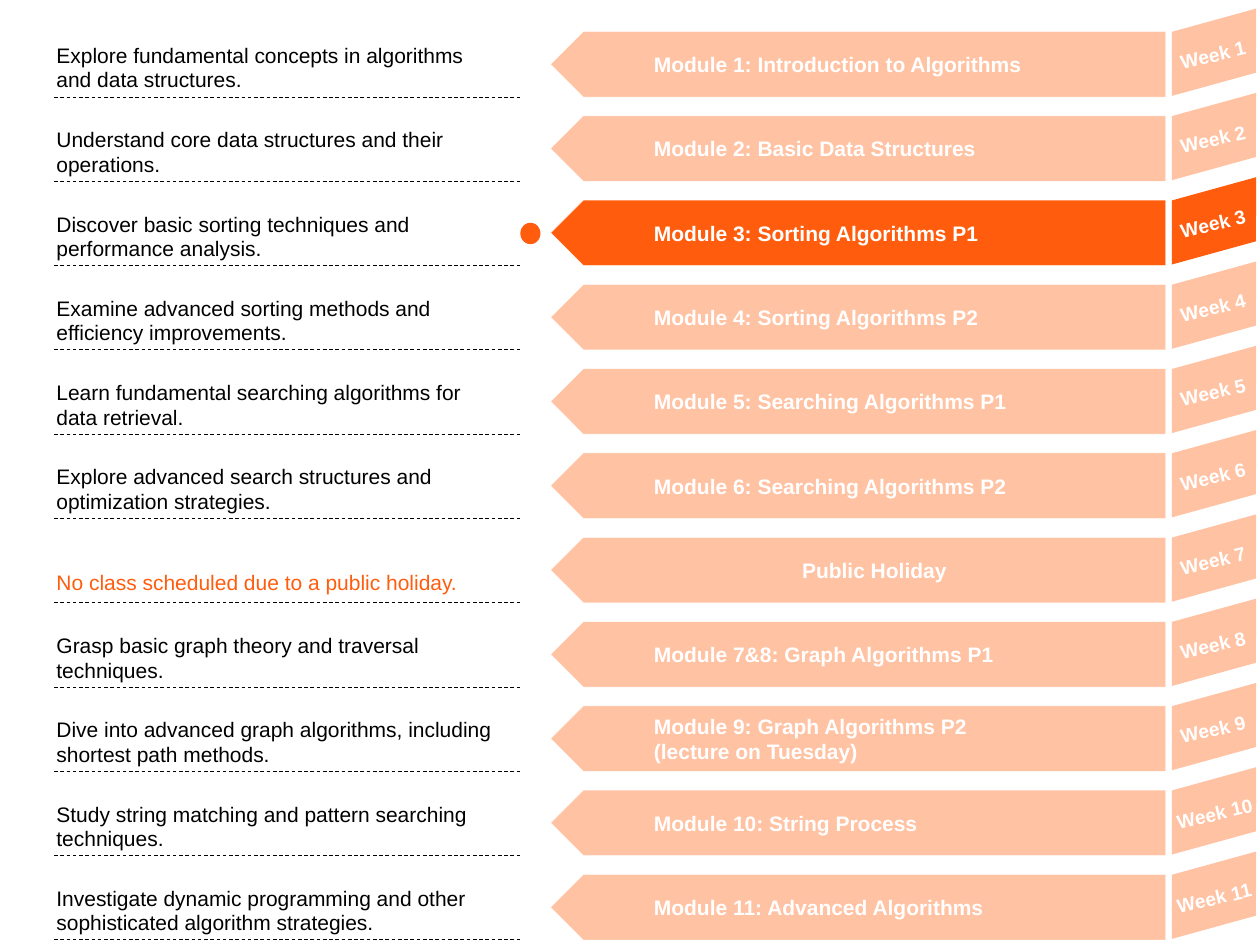
from lxml import etree
from pptx import Presentation
from pptx import util as u
from pptx.dml.color import RGBColor
from pptx.enum import dml, shapes, text
from pptx.oxml import ns

FIRST_ROW, LAST_ROW = 0.25, 6.94
CURRENT_WEEK = 3
HOLIDAY = "Public Holiday"
WEEKS = [
    ("Module 1: Introduction to Algorithms",
     "Explore fundamental concepts in algorithms and data structures."),
    ("Module 2: Basic Data Structures",
     "Understand core data structures and their operations."),
    ("Module 3: Sorting Algorithms P1",
     "Discover basic sorting techniques and performance analysis."),
    ("Module 4: Sorting Algorithms P2",
     "Examine advanced sorting methods and efficiency improvements."),
    ("Module 5: Searching Algorithms P1",
     "Learn fundamental searching algorithms for data retrieval."),
    ("Module 6: Searching Algorithms P2",
     "Explore advanced search structures and optimization strategies."),
    (HOLIDAY, "No class scheduled due to a public holiday."),
    ("Module 7&8: Graph Algorithms P1",
     "Grasp basic graph theory and traversal techniques."),
    ("Module 9: Graph Algorithms P2\n(lecture on Tuesday)",
     "Dive into advanced graph algorithms, including shortest path methods."),
    ("Module 10: String Process",
     "Study string matching and pattern searching techniques."),
    ("Module 11: Advanced Algorithms",
     "Investigate dynamic programming and other sophisticated algorithm strategies."),
]


def color(hex_code):
    return RGBColor.from_string(hex_code)


class Timetable:
    font = "Arial"
    ink, paper = "000000", "FFFFFF"
    accent, tint = "FF5D0D", "FFC2A3"

    def __init__(self, page):
        self.page = page

    def set_words(self, box, words, size, hex_code, bold=False,
                  align=text.PP_ALIGN.LEFT):
        box.text_frame.text = words
        for para in box.text_frame.paragraphs:
            para.alignment = align
            for span in para.runs:
                span.font.name = self.font
                span.font.size = u.Pt(size)
                span.font.bold = bold
                span.font.color.rgb = color(hex_code)

    def shape(self, kind, left, top, width, height, fill, adjustments=()):
        """Add a filled preset shape without outline or shadow."""
        shape = self.page.shapes.add_shape(
            kind, *map(u.Inches, (left, top, width, height)))
        shape.shadow.inherit = False
        shape.fill.solid()
        shape.fill.fore_color.rgb = color(fill)
        shape.line.fill.background()
        for index, value in enumerate(adjustments):
            shape.adjustments[index] = value
        return shape

    def text_box(self, left, top, width, height):
        return self.page.shapes.add_textbox(
            *map(u.Inches, (left, top, width, height)))

    def module_arrow(self, top, title, fill):
        arrow = self.shape(shapes.MSO_SHAPE.LEFT_ARROW, 4.37, top, 4.88, 0.52,
                           fill, (1, 0.5))
        arrow.line.fill.solid()
        arrow.line.fill.fore_color.rgb = color(self.paper)
        arrow.line.width = u.Pt(0.25)
        frame = arrow.text_frame
        frame.word_wrap = True
        frame.vertical_anchor = text.MSO_ANCHOR.MIDDLE
        centered = title == HOLIDAY
        if not centered:
            frame.margin_left = u.Inches(0.56)
        self.set_words(arrow, title, 12, self.paper, True,
                       text.PP_ALIGN.CENTER if centered else text.PP_ALIGN.LEFT)

    def week_flag(self, top, label, fill):
        flag = self.shape(shapes.MSO_SHAPE.PARALLELOGRAM, 9.22, top - 0.08,
                          0.83, 0.49, fill, (0.28,))
        flag.rotation = 344.6
        left, width = (9.27, 0.73) if len(label) < 7 else (9.24, 0.82)
        box = self.text_box(left, top + 0.09, width, 0.22)
        box.rotation = 346.8
        frame = box.text_frame
        frame.word_wrap = False
        frame.auto_size = text.MSO_AUTO_SIZE.SHAPE_TO_FIT_TEXT
        frame.margin_top, frame.margin_bottom = 0, u.Inches(0.04)
        self.set_words(box, label, 11, self.paper, True)

    def description(self, top, words, holiday):
        box = self.text_box(0.35, top + (0.22 if holiday else 0.05), 3.7,
                            0.25 if holiday else 0.43)
        box.text_frame.word_wrap = True
        self.set_words(box, words, 12, self.accent if holiday else self.ink)
        box.text_frame.paragraphs[0].line_spacing = 0.97

    def rule(self, y):
        line = self.page.shapes.add_connector(
            shapes.MSO_CONNECTOR.STRAIGHT, *map(u.Inches, (0.43, y, 4.13, y)))
        line.line.color.rgb = color(self.ink)
        line.line.width = u.Pt(0.5)
        line.line.dash_style = dml.MSO_LINE.DASH
        etree.SubElement(line._element.spPr, ns.qn("a:effectLst"))

    def current_dot(self, top):
        self.shape(shapes.MSO_SHAPE.OVAL, 4.13, top + 0.18, 0.16, 0.17, self.accent)


def main():
    deck = Presentation()
    deck.slide_width, deck.slide_height = u.Inches(10), u.Inches(7.5)
    timetable = Timetable(deck.slides.add_slide(deck.slide_layouts[6]))
    pitch = (LAST_ROW - FIRST_ROW) / (len(WEEKS) - 1)
    for week, (title, words) in enumerate(WEEKS, 1):
        top = FIRST_ROW + (week - 1) * pitch
        current = week == CURRENT_WEEK
        fill = timetable.accent if current else timetable.tint
        timetable.module_arrow(top, title, fill)
        timetable.rule(top + 0.52)
        timetable.description(top, words, title == HOLIDAY)
        timetable.week_flag(top, f"Week {week}", fill)
        if current:
            timetable.current_dot(top)
    deck.save("out.pptx")


if __name__ == "__main__":
    main()
